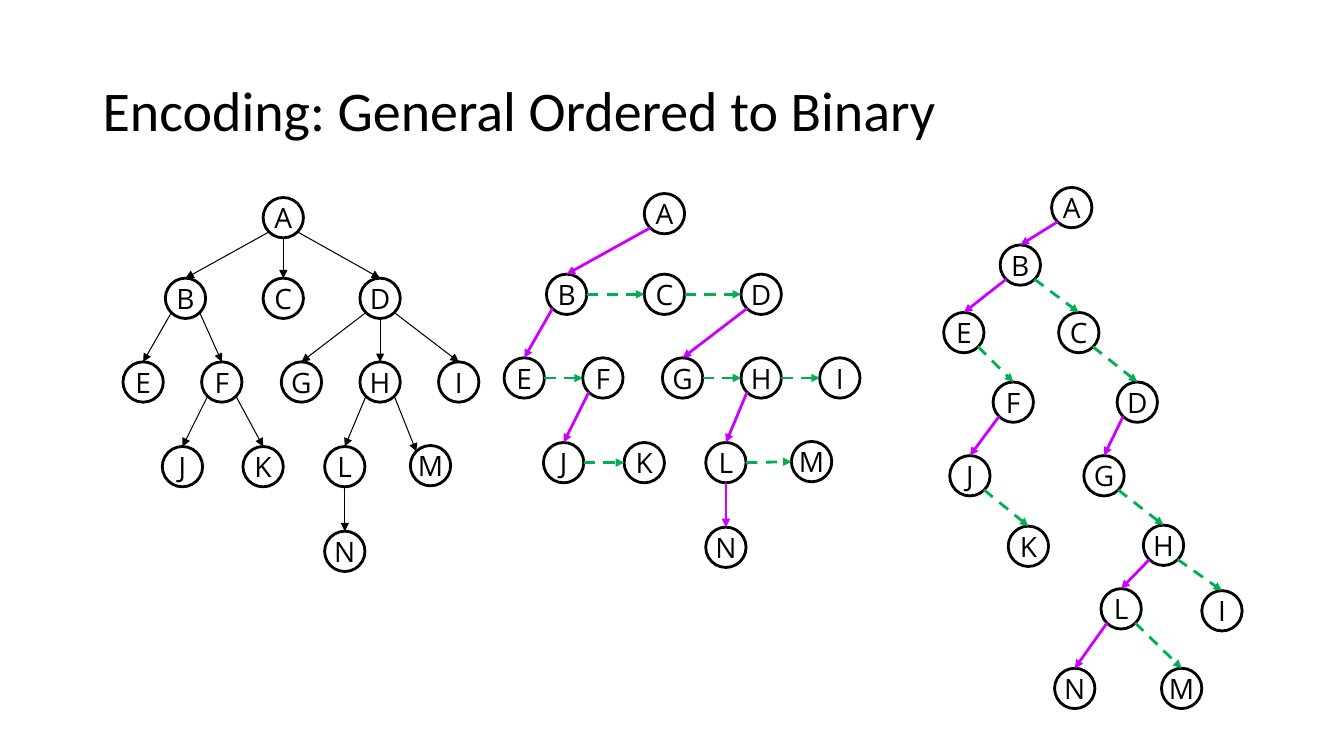
from lxml import etree
from pptx import Presentation
from pptx.dml.color import RGBColor
from pptx.enum.dml import MSO_LINE
from pptx.enum.shapes import MSO_CONNECTOR, MSO_SHAPE
from pptx.enum.text import MSO_ANCHOR, PP_ALIGN
from pptx.oxml.ns import qn
from pptx.util import Pt

PX = 9144
BLACK = RGBColor(0x00, 0x00, 0x00)
PURPLE = RGBColor(0xCC, 0x00, 0xFF)
GREEN = RGBColor(0x00, 0xB0, 0x50)
ELLIPSE = MSO_SHAPE.OVAL
STRAIGHT = MSO_CONNECTOR.STRAIGHT
DASH = MSO_LINE.DASH
MIDDLE = MSO_ANCHOR.MIDDLE
CENTER = PP_ALIGN.CENTER

NODE_SIZE = 40
TOP, BOTTOM, LEFT, RIGHT = (20, 0), (20, 40), (0, 20), (40, 20)
TOP_LEFT, BOTTOM_LEFT, BOTTOM_RIGHT = (6, 6), (6, 34), (34, 34)
TOP_SITE = 0

PLAIN = (BLACK, 0.75, None)
CHILD = (PURPLE, 2, None)
SIBLING = (GREEN, 2, DASH)

GENERAL_NODES = {
    "A": (139, 0),
    "B": (42, 80), "C": (139, 80), "D": (235, 80),
    "E": (0, 163), "F": (78, 163), "G": (157, 163), "H": (235, 163), "I": (313, 163),
    "J": (39, 247), "K": (119, 247), "L": (200, 247), "M": (285, 246),
    "N": (200, 331),
}
BINARY_NODES = {
    "A": (107, 0), "B": (56, 57),
    "E": (0, 124), "C": (114, 124),
    "F": (49, 193), "D": (172, 193),
    "J": (6, 266), "G": (139, 266),
    "K": (64, 336), "H": (198, 335),
    "L": (156, 398), "I": (256, 400),
    "N": (110, 477), "M": (216, 477),
}

GENERAL_EDGES = [
    ("AB BE DG FJ HL", BOTTOM_LEFT, TOP, PLAIN),
    ("AC DH LN", BOTTOM, TOP, PLAIN),
    ("AD BF DI FK", BOTTOM_RIGHT, TOP, PLAIN),
    ("HM", BOTTOM_RIGHT, TOP_LEFT, PLAIN),
]
ENCODED_EDGES = [
    ("AB BE DG FJ HL", BOTTOM_LEFT, TOP, CHILD),
    ("LN", BOTTOM, TOP, CHILD),
    ("BC CD EF GH HI JK LM", RIGHT, LEFT, SIBLING),
]
BINARY_EDGES = [
    ("AB BE DG FJ HL LN", BOTTOM_LEFT, TOP, CHILD),
    ("BC CD EF GH HI JK LM", BOTTOM_RIGHT, TOP, SIBLING),
]


def add_title(slide, text, box):
    sp = slide.shapes.add_textbox(*(v * PX for v in box))
    tf = sp.text_frame
    tf.word_wrap = True
    tf.vertical_anchor = MIDDLE
    p = tf.paragraphs[0]
    p.text = text
    p.line_spacing = 0.9
    p.font.name = "Calibri"
    p.font.size = Pt(40)
    p.font.color.rgb = BLACK


def add_node(slide, label, x, y):
    sp = slide.shapes.add_shape(ELLIPSE, x * PX, y * PX, NODE_SIZE * PX, NODE_SIZE * PX)
    sp.shadow.inherit = False
    sp.fill.background()
    sp.line.color.rgb = BLACK
    sp.line.width = Pt(2)
    tf = sp.text_frame
    tf.margin_left = tf.margin_right = tf.margin_top = tf.margin_bottom = 0
    tf.word_wrap = False
    tf.vertical_anchor = MIDDLE
    p = tf.paragraphs[0]
    p.text = label
    p.alignment = CENTER
    p.font.name = "Open Sans"
    p.font.size = Pt(20)
    p.font.color.rgb = BLACK
    return sp


def add_arrow(slide, parent, child, start, end, style):
    color, width, dash = style
    line = slide.shapes.add_connector(
        STRAIGHT,
        parent.left + start[0] * PX, parent.top + start[1] * PX,
        child.left + end[0] * PX, child.top + end[1] * PX,
    )
    if end == TOP:
        line.end_connect(child, TOP_SITE)
    line.line.color.rgb = color
    line.line.width = Pt(width)
    if dash:
        line.line.dash_style = dash
    sp_pr = line._element.spPr
    etree.SubElement(sp_pr.find(qn("a:ln")), qn("a:tailEnd"), type="triangle")
    etree.SubElement(sp_pr, qn("a:effectLst"))


def add_tree(slide, left, top, positions, edges):
    nodes = {
        label: add_node(slide, label, left + x, top + y)
        for label, (x, y) in positions.items()
    }
    for pairs, start, end, style in edges:
        for parent, child in pairs.split():
            add_arrow(slide, nodes[parent], nodes[child], start, end, style)


def main():
    prs = Presentation()
    prs.slide_width = 1333 * PX
    prs.slide_height = 750 * PX
    slide = prs.slides.add_slide(prs.slide_layouts[6])
    add_title(slide, "Encoding: General Ordered to Binary", (92, 40, 1150, 145))
    add_tree(slide, 122, 196, GENERAL_NODES, GENERAL_EDGES)
    add_tree(slide, 500, 192, GENERAL_NODES, ENCODED_EDGES)
    add_tree(slide, 936, 186, BINARY_NODES, BINARY_EDGES)
    prs.save("out.pptx")


if __name__ == "__main__":
    main()
